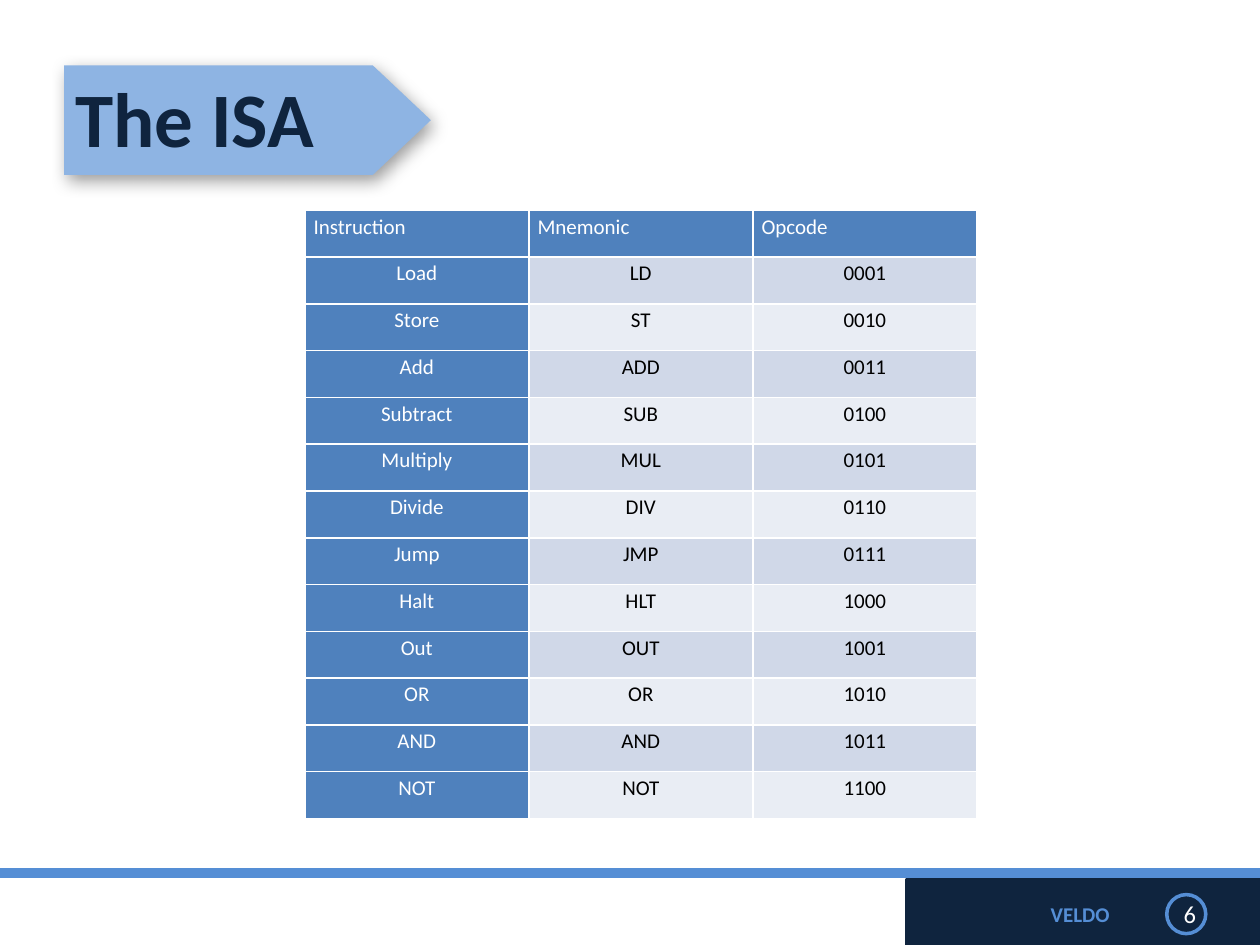
from lxml.etree import SubElement
from pptx import Presentation
from pptx.dml.color import RGBColor
from pptx.enum.shapes import MSO_SHAPE
from pptx.enum.text import MSO_ANCHOR, PP_ALIGN
from pptx.oxml.ns import qn
from pptx.util import Pt

TITLE = "The ISA"
FOOTER = "VELDO"
PAGE = "6"
HEADER = ("Instruction", "Mnemonic", "Opcode")
INSTRUCTIONS = [
    ("Load", "LD", "0001"),
    ("Store", "ST", "0010"),
    ("Add", "ADD", "0011"),
    ("Subtract", "SUB", "0100"),
    ("Multiply", "MUL", "0101"),
    ("Divide", "DIV", "0110"),
    ("Jump", "JMP", "0111"),
    ("Halt", "HLT", "1000"),
    ("Out", "OUT", "1001"),
    ("OR", "OR", "1010"),
    ("AND", "AND", "1011"),
    ("NOT", "NOT", "1100"),
]


class Theme:
    font = "Calibri"
    navy, blue, sky = "0F243E", "558ED5", "8EB4E3"
    white, black = "FFFFFF", "000000"
    table_head = "4F81BD"
    bands = ("D0D8E8", "E9EDF4")
    title_size, page_size, text_size = 44, 14, 12


BANNER = (36.7, 37.4, 209.5, 62.6)
TITLE_BOX = (36, 21.6, 230.4, 90)
STRIPE = (0, 496.8, 720, 33.8)
FOOTER_BASE = (0, 502.6, 720, 39.6)
FOOTER_PANEL = (518.4, 502.6, 201.6, 39.6)
PAGE_RING = (666.7, 511.2, 22.3, 22.3)
TABLE_LEFT, TABLE_TOP = 174.2, 120.2
COLUMN_WIDTH, ROW_HEIGHT = 128, 26.75


def rgb(value):
    return RGBColor.from_string(value)


def apply(target, formats):
    for name, value in formats.items():
        setattr(target, name, value)


def write(frame, text, size, color, bold=False, align=PP_ALIGN.LEFT, spacing=1.0):
    frame.text = text
    paragraph = frame.paragraphs[0]
    apply(paragraph, {"alignment": align, "line_spacing": spacing})
    font = paragraph.runs[0].font
    apply(font, {"name": Theme.font, "size": Pt(size), "bold": bold})
    font.color.rgb = rgb(color)


def add_block(slide, kind, box, fill, line=None):
    block = slide.shapes.add_shape(kind, *map(Pt, box))
    block.shadow.inherit = False
    block.fill.solid()
    block.fill.fore_color.rgb = rgb(fill)
    if line:
        block.line.color.rgb = rgb(line)
        block.line.width = Pt(2)
    else:
        block.line.fill.background()
    return block


def add_shadow(block):
    effects = block._element.spPr.find(qn("a:effectLst"))
    shadow = SubElement(effects, qn("a:outerShdw"), blurRad=str(Pt(10)),
                        dist=str(Pt(4)), dir="3600000", algn="tl", rotWithShape="0")
    color = SubElement(shadow, qn("a:srgbClr"), val=Theme.black)
    SubElement(color, qn("a:alpha"), val="39000")


def add_borders(cell):
    properties = cell._tc.get_or_add_tcPr()
    for side in "LRTB":
        line = SubElement(properties, qn(f"a:ln{side}"), w=str(Pt(1)))
        fill = SubElement(line, qn("a:solidFill"))
        SubElement(fill, qn("a:srgbClr"), val=Theme.white)


def add_title(slide):
    banner = add_block(slide, MSO_SHAPE.RIGHT_ARROW, BANNER, Theme.sky)
    banner.adjustments[0], banner.adjustments[1] = 1, 0.53
    add_shadow(banner)
    title = slide.shapes.title
    title._element.addprevious(banner._element)
    apply(title, dict(zip(("left", "top", "width", "height"), map(Pt, TITLE_BOX))))
    title.text_frame.vertical_anchor = MSO_ANCHOR.MIDDLE
    write(title.text_frame, TITLE, Theme.title_size, Theme.navy, bold=True)


def add_footer(slide):
    add_block(slide, MSO_SHAPE.RECTANGLE, STRIPE, Theme.blue, Theme.blue)
    add_block(slide, MSO_SHAPE.RECTANGLE, FOOTER_BASE, Theme.white, Theme.white)
    panel = add_block(slide, MSO_SHAPE.RECTANGLE, FOOTER_PANEL, Theme.navy, Theme.navy)
    apply(panel.text_frame, {"margin_left": Pt(82), "vertical_anchor": MSO_ANCHOR.MIDDLE})
    write(panel.text_frame, FOOTER, Theme.text_size, Theme.blue, bold=True)
    ring = add_block(slide, MSO_SHAPE.OVAL, PAGE_RING, Theme.navy, Theme.blue)
    apply(ring.text_frame, {"margin_left": Pt(4), "margin_right": 0, "margin_top": 0,
                            "margin_bottom": 0, "vertical_anchor": MSO_ANCHOR.MIDDLE})
    write(ring.text_frame, PAGE, Theme.page_size, Theme.white, align=PP_ALIGN.CENTER)


def add_instruction_table(slide):
    rows = [HEADER, *INSTRUCTIONS]
    table = slide.shapes.add_table(
        len(rows), len(HEADER), Pt(TABLE_LEFT), Pt(TABLE_TOP),
        Pt(COLUMN_WIDTH * len(HEADER)), Pt(ROW_HEIGHT * len(rows))).table
    for column in table.columns:
        column.width = Pt(COLUMN_WIDTH)
    for r, values in enumerate(rows):
        table.rows[r].height = Pt(ROW_HEIGHT)
        for c, value in enumerate(values):
            cell = table.cell(r, c)
            is_head = r == 0 or c == 0
            apply(cell, {"margin_left": Pt(5), "margin_right": Pt(5),
                         "margin_top": 0, "margin_bottom": 0})
            add_borders(cell)
            cell.fill.solid()
            cell.fill.fore_color.rgb = rgb(
                Theme.table_head if is_head else Theme.bands[(r - 1) % 2])
            write(cell.text_frame, value, Theme.text_size,
                  Theme.white if is_head else Theme.black,
                  align=PP_ALIGN.CENTER if r else PP_ALIGN.LEFT, spacing=1.15)


def main():
    deck = Presentation()
    apply(deck, {"slide_width": Pt(720), "slide_height": Pt(540)})
    slide = deck.slides.add_slide(deck.slide_layouts[5])
    add_title(slide)
    add_footer(slide)
    add_instruction_table(slide)
    deck.save("out.pptx")


if __name__ == "__main__":
    main()
